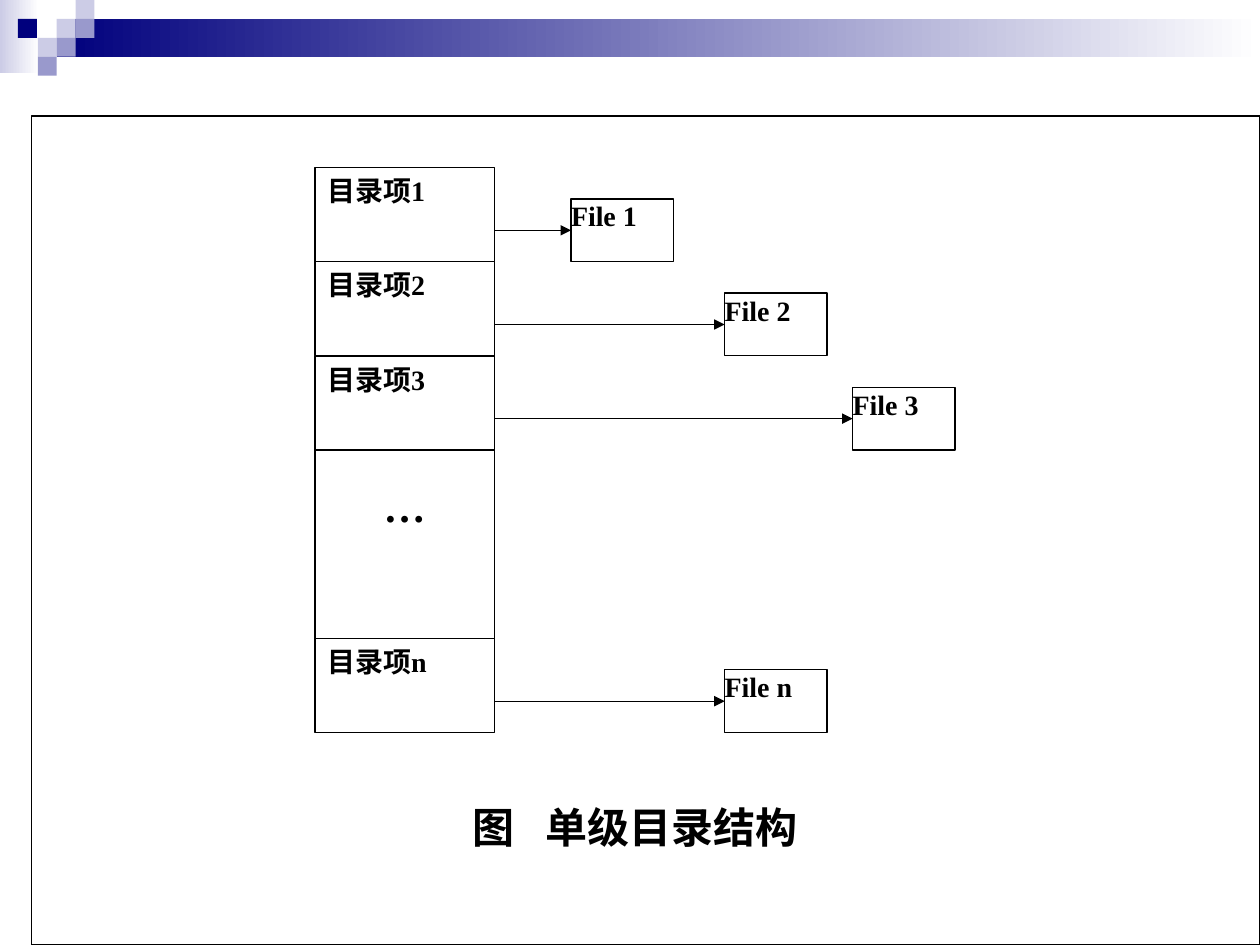
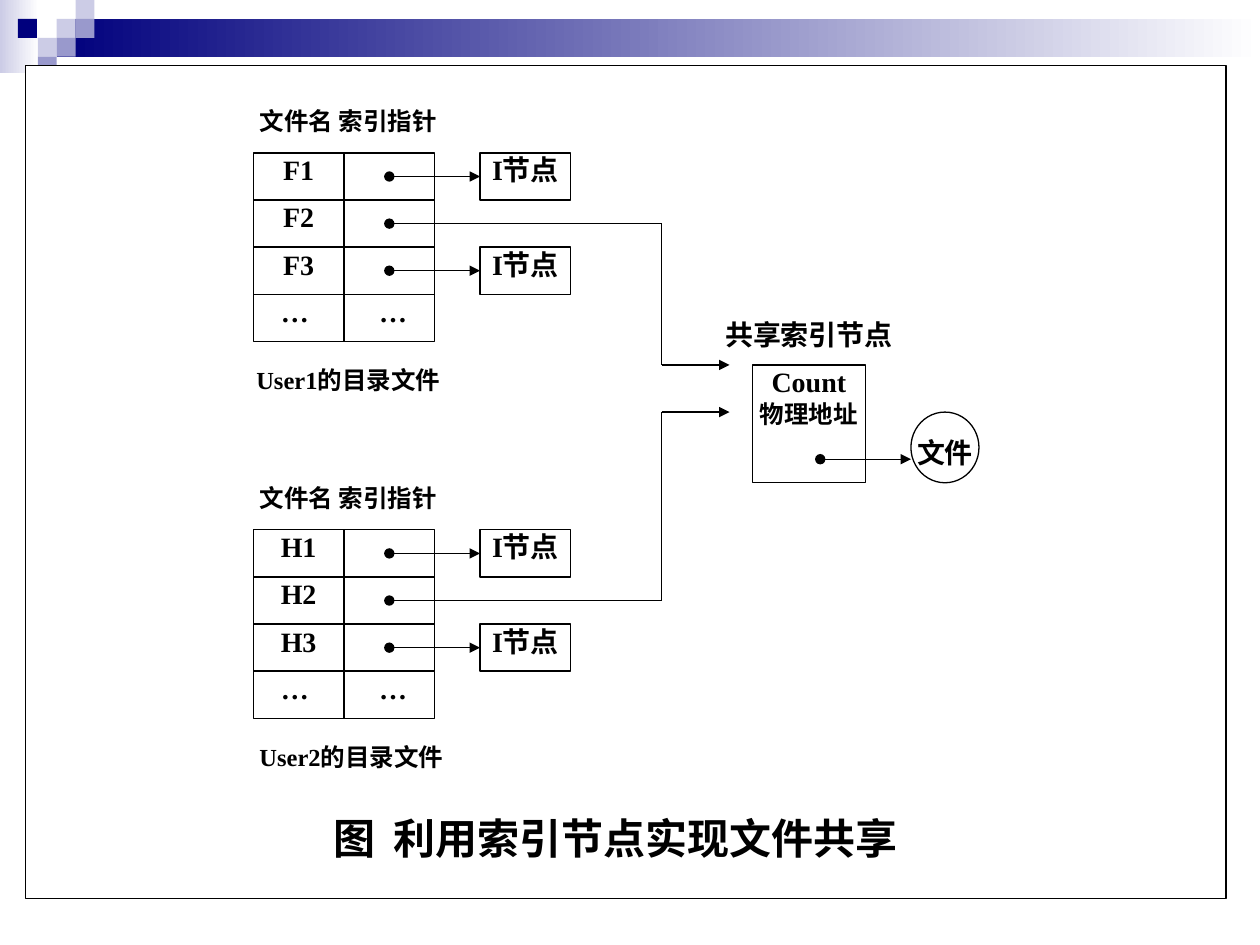
from dataclasses import dataclass
from typing import NamedTuple

from lxml.etree import SubElement
from pptx import Presentation
from pptx.dml.color import RGBColor
from pptx.enum.shapes import MSO_CONNECTOR, MSO_SHAPE
from pptx.enum.text import MSO_ANCHOR, PP_ALIGN
from pptx.oxml.ns import qn
from pptx.util import Inches, Pt

COLORS = {
    "ink": "000000",
    "paper": "FFFFFF",
    "navy": "00007D",
    "violet": "9999CC",
    "lilac": "CCCCE6",
}
LATIN_FONT = "Times New Roman"
ASIAN_FONT = "Noto Sans CJK SC"
LINE_WIDTH = Pt(0.75)
NO_INSETS = (0, 0, 0, 0)
CELL_INSETS = (0.1, 0.05, 0.1, 0.05)


@dataclass(frozen=True)
class Grid:
    left: float
    top: float
    column: float
    row: float

    def point(self, column: float, row: float) -> tuple:
        return (Inches(self.left + column * self.column),
                Inches(self.top + row * self.row))

    def area(self, column: float, row: float, columns: float, rows: float) -> tuple:
        return (*self.point(column, row),
                Inches(columns * self.column), Inches(rows * self.row))


class Tile(NamedTuple):
    column: float
    row: float
    color: str


class FileEntry(NamedTuple):
    label: str
    row: int
    file_column: int


class UserDirectory(NamedTuple):
    user: str
    prefix: str
    row: int
    label_inset: float
    shared_row: int


PAGE_GRID = Grid(0, 0, 1, 1)
TILE_GRID = Grid(0, 0, 0.15, 0.15)
DIRECTORY_GRID = Grid(2.5, 1.33, 5.08 / 25, 5.73 / 23)
SHARING_GRID = Grid(2.01, 0.84, 0.18, 6.17 / 33)

TILES = [
    Tile(3, 1, "lilac"), Tile(4, 0, "lilac"), Tile(4, 1, "violet"),
    Tile(2, 2, "lilac"), Tile(0.95, 1, "navy"), Tile(3, 2, "violet"),
    Tile(2, 3, "violet"),
]
FILE_ENTRIES = [
    FileEntry("1", 0, 10), FileEntry("2", 3, 16),
    FileEntry("3", 6, 21), FileEntry("n", 15, 16),
]
USER_DIRECTORIES = [
    UserDirectory("User1", "F", 0, 0.11, 11),
    UserDirectory("User2", "H", 16, 0.06, 13),
]


def rgb(name: str) -> RGBColor:
    return RGBColor.from_string(COLORS[name])


def add_box(page, area: tuple, *, fill=None, fade=None, outlined=True,
            kind=MSO_SHAPE.RECTANGLE):
    box = page.shapes.add_shape(kind, *area)
    box.shadow.inherit = False
    if fade:
        box.fill.gradient()
        box.fill.gradient_angle = 0
        for stop, position, color in zip(box.fill.gradient_stops, (0, 1), (fade, "paper")):
            stop.position = position
            stop.color.rgb = rgb(color)
    elif fill:
        box.fill.solid()
        box.fill.fore_color.rgb = rgb(fill)
    else:
        box.fill.background()
    if outlined:
        box.line.color.rgb = rgb("ink")
        box.line.width = LINE_WIDTH
    else:
        box.line.fill.background()
    return box


def put_text(box, text: str, *, size=16, align=PP_ALIGN.CENTER,
             insets=NO_INSETS, gap=0) -> None:
    frame = box.text_frame
    frame.word_wrap = True
    frame.vertical_anchor = MSO_ANCHOR.TOP
    (frame.margin_left, frame.margin_top,
     frame.margin_right, frame.margin_bottom) = map(Inches, insets)
    para = frame.add_paragraph() if frame.text else frame.paragraphs[0]
    para.alignment = align
    for part in text.partition(" ") if gap else [text]:
        span = para.add_run()
        span.text = part
        span.font.size = Pt(size)
        span.font.bold = True
        span.font.name = LATIN_FONT
        span.font.color.rgb = rgb("ink")
        properties = span.font._element
        SubElement(properties, qn("a:ea")).set("typeface", ASIAN_FONT)
        if gap and part == " ":
            properties.set("spc", str(gap * 100))


def add_label(page, area: tuple, text: str, **style) -> None:
    put_text(page.shapes.add_textbox(*area), text, **style)


def add_line(page, grid: Grid, start: tuple, end: tuple, *, head=None, tail=None) -> None:
    line = page.shapes.add_connector(
        MSO_CONNECTOR.STRAIGHT, *grid.point(*start), *grid.point(*end))
    line.line.color.rgb = rgb("ink")
    line.line.width = LINE_WIDTH
    outline = line.line._get_or_add_ln()
    for tag, kind in (("a:headEnd", head), ("a:tailEnd", tail)):
        if kind:
            SubElement(outline, qn(tag)).set("type", kind)
    SubElement(line._element.spPr, qn("a:effectLst"))


def add_page(deck, frame: tuple):
    page = deck.slides.add_slide(deck.slide_layouts[6])
    add_box(page, PAGE_GRID.area(0, 0, 0.31, 0.58), fade="lilac", outlined=False)
    add_box(page, PAGE_GRID.area(0.45, 0.15, 9.55, 0.3), fade="navy", outlined=False)
    for tile in TILES:
        add_box(page, TILE_GRID.area(tile.column, tile.row, 1, 1),
                fill=tile.color, outlined=False)
    add_box(page, PAGE_GRID.area(*frame), fill="paper")
    return page


def draw_file_entry(page, entry: FileEntry) -> None:
    grid = DIRECTORY_GRID
    item = add_box(page, grid.area(0, entry.row, 7, 3), fill="paper")
    put_text(item, f"目录项{entry.label}", align=PP_ALIGN.JUSTIFY, insets=CELL_INSETS)
    file = add_box(page, grid.area(entry.file_column, entry.row + 1, 4, 2), fill="paper")
    put_text(file, f"File {entry.label}", align=PP_ALIGN.JUSTIFY)
    add_line(page, grid, (7, entry.row + 2), (entry.file_column, entry.row + 2),
             tail="triangle")


def draw_single_level_page(deck) -> None:
    grid = DIRECTORY_GRID
    page = add_page(deck, (0.25, 0.92, 9.75, 6.58))
    for entry in FILE_ENTRIES:
        draw_file_entry(page, entry)
    omitted = add_box(page, grid.area(0, 9, 7, 6), fill="paper")
    put_text(omitted, "…", size=24, insets=(0.1, 0.24, 0.1, 0.05))
    caption = add_box(page, grid.area(0, 20, 25, 3), fill="paper", outlined=False)
    put_text(caption, "图 单级目录结构", size=24, insets=CELL_INSETS, gap=12)


def draw_user_directory(page, directory: UserDirectory) -> None:
    grid = SHARING_GRID
    top = directory.row
    add_label(page, grid.area(0, top, 9, 2), "文件名 索引指针",
              size=14, insets=(0, 0, 0.11, 0))
    for number in range(1, 5):
        row = top + 2 * number
        name = add_box(page, grid.area(0, row, 4, 2))
        pointer = add_box(page, grid.area(4, row, 4, 2))
        if number == 4:
            put_text(name, "…", insets=(0, 0, 0.06, 0))
            put_text(pointer, "…", insets=(0.06, 0, 0, 0))
            continue
        put_text(name, f"{directory.prefix}{number}")
        if number == 2:
            shared = directory.shared_row
            add_line(page, grid, (6, row + 1), (18, row + 1), head="oval")
            add_line(page, grid, (18, row + 1), (18, shared))
            add_line(page, grid, (18, shared), (21, shared), tail="triangle")
        else:
            put_text(add_box(page, grid.area(10, row, 4, 2)), "I节点")
            add_line(page, grid, (6, row + 1), (10, row + 1), head="oval", tail="triangle")
    add_label(page, grid.area(0, top + 11, 9, 2), f"{directory.user}的目录文件",
              size=14, insets=(0, 0, directory.label_inset, 0))


def draw_sharing_page(deck) -> None:
    grid = SHARING_GRID
    page = add_page(deck, (0.2, 0.52, 9.53, 6.61))
    for directory in USER_DIRECTORIES:
        draw_user_directory(page, directory)
    add_label(page, grid.area(20, 9, 9, 2), "共享索引节点")
    node = add_box(page, grid.area(22, 11, 5, 5))
    put_text(node, "Count")
    put_text(node, "物理地址", size=14)
    add_line(page, grid, (25, 15), (29, 15), head="oval", tail="triangle")
    add_box(page, grid.area(29, 13, 3, 3), kind=MSO_SHAPE.OVAL)
    add_label(page, grid.area(29, 14, 3, 2), "文件")
    add_label(page, grid.area(0, 30, 31, 3), "图 利用索引节点实现文件共享",
              size=24, insets=(0.17, 0, 0, 0), gap=5)


def main() -> None:
    deck = Presentation()
    deck.slide_width, deck.slide_height = Inches(10), Inches(7.5)
    draw_single_level_page(deck)
    draw_sharing_page(deck)
    deck.save("out.pptx")


if __name__ == "__main__":
    main()
